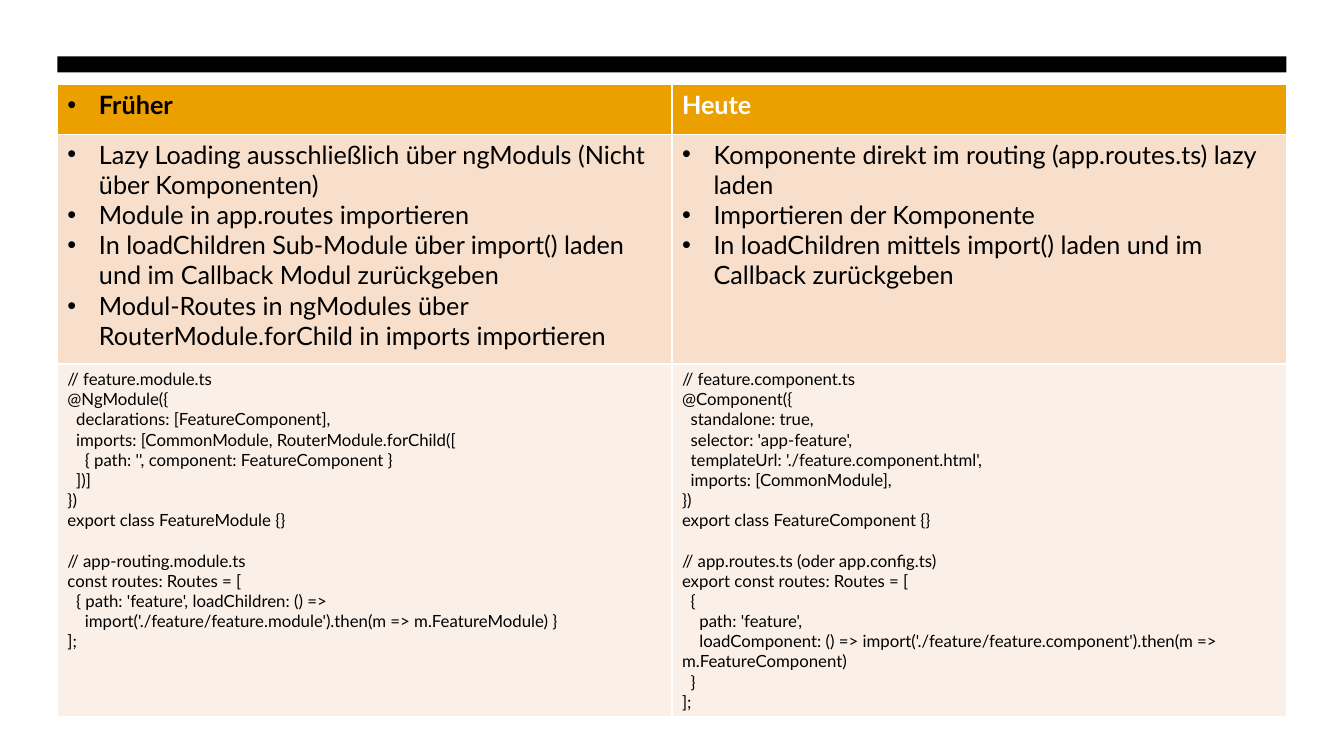
from dataclasses import dataclass

from lxml.etree import SubElement
from pptx import Presentation
from pptx.dml.color import RGBColor as Rgb
from pptx.enum.shapes import MSO_SHAPE as Preset
from pptx.oxml.ns import qn
from pptx.slide import Slide
from pptx.table import _Cell as Cell
from pptx.text.text import _Paragraph as Paragraph
from pptx.util import Pt


@dataclass(frozen=True)
class Theme:
    font: str = "Lato"
    text_size: float = 18
    code_size: float = 12
    bullet_indent: float = 22.5
    code_indent: float = 6.2
    code_gap: float = 14.4
    black: str = "000000"
    white: str = "FFFFFF"
    header: str = "EBA000"
    points: str = "F7DFCC"
    code: str = "FBF0E7"


@dataclass(frozen=True)
class Line:
    text: str
    level: int = 0
    gap: bool = False


@dataclass(frozen=True)
class Column:
    heading: str
    heading_color: str
    heading_bullet: bool
    points: list[str]
    code: list[Line]


THEME = Theme()
LEFT, WIDTH = 41, 878
BAR_TOP, BAR_HEIGHT = 40.3, 11.5
TABLE_TOP = 60.5
ROW_HEIGHTS = (35.3, 164.2, 252)

COLUMNS = [
    Column(
        "Früher", THEME.black, True,
        [
            "Lazy Loading ausschließlich über ngModuls (Nicht über Komponenten)",
            "Module in app.routes importieren",
            "In loadChildren Sub-Module über import() laden und im Callback Modul zurückgeben",
            "Modul-Routes in ngModules über RouterModule.forChild in imports importieren",
        ],
        [
            Line("// feature.module.ts"),
            Line("@NgModule({"),
            Line("declarations: [FeatureComponent],", 1),
            Line("imports: [CommonModule, RouterModule.forChild([", 1),
            Line("{ path: '', component: FeatureComponent }", 2),
            Line("])]", 1),
            Line("})"),
            Line("export class FeatureModule {}"),
            Line("// app-routing.module.ts", gap=True),
            Line("const routes: Routes = ["),
            Line("{ path: 'feature', loadChildren: () =>", 1),
            Line("import('./feature/feature.module').then(m => m.FeatureModule) }", 2),
            Line("];"),
        ],
    ),
    Column(
        "Heute", THEME.white, False,
        [
            "Komponente direkt im routing (app.routes.ts) lazy laden",
            "Importieren der Komponente",
            "In loadChildren mittels import() laden und im Callback zurückgeben",
        ],
        [
            Line("// feature.component.ts"),
            Line("@Component({"),
            Line("standalone: true,", 1),
            Line("selector: 'app-feature',", 1),
            Line("templateUrl: './feature.component.html',", 1),
            Line("imports: [CommonModule],", 1),
            Line("})"),
            Line("export class FeatureComponent {}"),
            Line("// app.routes.ts (oder app.config.ts)", gap=True),
            Line("export const routes: Routes = ["),
            Line("{", 1),
            Line("path: 'feature',", 2),
            Line("loadComponent: () => import('./feature/feature.component')"
                 ".then(m => m.FeatureComponent)", 2),
            Line("}", 1),
            Line("];"),
        ],
    ),
]


def add_span(para: Paragraph, text: str, size: float, color: str = THEME.black,
             bold: bool = False) -> None:
    span = para.add_run()
    span.text = text
    span.font.name = THEME.font
    span.font.size = Pt(size)
    span.font.bold = bold
    span.font.color.rgb = Rgb.from_string(color)


def set_indent(para: Paragraph, margin: float, first_line: float) -> None:
    properties = para._p.get_or_add_pPr()
    properties.set("marL", str(Pt(margin)))
    properties.set("indent", str(Pt(first_line)))


def add_bullet(para: Paragraph) -> None:
    set_indent(para, THEME.bullet_indent, -THEME.bullet_indent)
    properties = para._p.get_or_add_pPr()
    SubElement(properties, qn("a:buFont")).set("typeface", "Arial")
    SubElement(properties, qn("a:buChar")).set("char", "•")


def new_para(cell: Cell, index: int) -> Paragraph:
    frame = cell.text_frame
    return frame.add_paragraph() if index else frame.paragraphs[0]


def fill_cell(cell: Cell, color: str) -> None:
    cell.fill.solid()
    cell.fill.fore_color.rgb = Rgb.from_string(color)


def write_heading(cell: Cell, column: Column) -> None:
    fill_cell(cell, THEME.header)
    para = new_para(cell, 0)
    if column.heading_bullet:
        add_bullet(para)
    add_span(para, column.heading, THEME.text_size, column.heading_color, True)


def write_points(cell: Cell, column: Column) -> None:
    fill_cell(cell, THEME.points)
    for index, point in enumerate(column.points):
        para = new_para(cell, index)
        add_bullet(para)
        add_span(para, point, THEME.text_size)


def write_code(cell: Cell, column: Column) -> None:
    fill_cell(cell, THEME.code)
    for index, line in enumerate(column.code):
        para = new_para(cell, index)
        set_indent(para, 0, line.level * THEME.code_indent)
        if line.gap:
            para.space_before = Pt(THEME.code_gap)
        add_span(para, line.text, THEME.code_size)


def draw_bar(page: Slide) -> None:
    bar = page.shapes.add_shape(Preset.RECTANGLE, Pt(LEFT), Pt(BAR_TOP), Pt(WIDTH), Pt(BAR_HEIGHT))
    bar.shadow.inherit = False
    bar.fill.solid()
    bar.fill.fore_color.rgb = Rgb.from_string(THEME.black)
    bar.line.fill.background()


def draw_comparison(page: Slide) -> None:
    table = page.shapes.add_table(
        len(ROW_HEIGHTS), len(COLUMNS),
        Pt(LEFT), Pt(TABLE_TOP), Pt(WIDTH), Pt(sum(ROW_HEIGHTS)),
    ).table
    for row, height in zip(table.rows, ROW_HEIGHTS):
        row.height = Pt(height)
    for index, column in enumerate(COLUMNS):
        write_heading(table.cell(0, index), column)
        write_points(table.cell(1, index), column)
        write_code(table.cell(2, index), column)


def main() -> None:
    deck = Presentation()
    deck.slide_width, deck.slide_height = Pt(960), Pt(540)
    # The blank layout: this page has no title
    page = deck.slides.add_slide(deck.slide_layouts[6])
    draw_bar(page)
    draw_comparison(page)
    deck.save("out.pptx")


if __name__ == "__main__":
    main()
